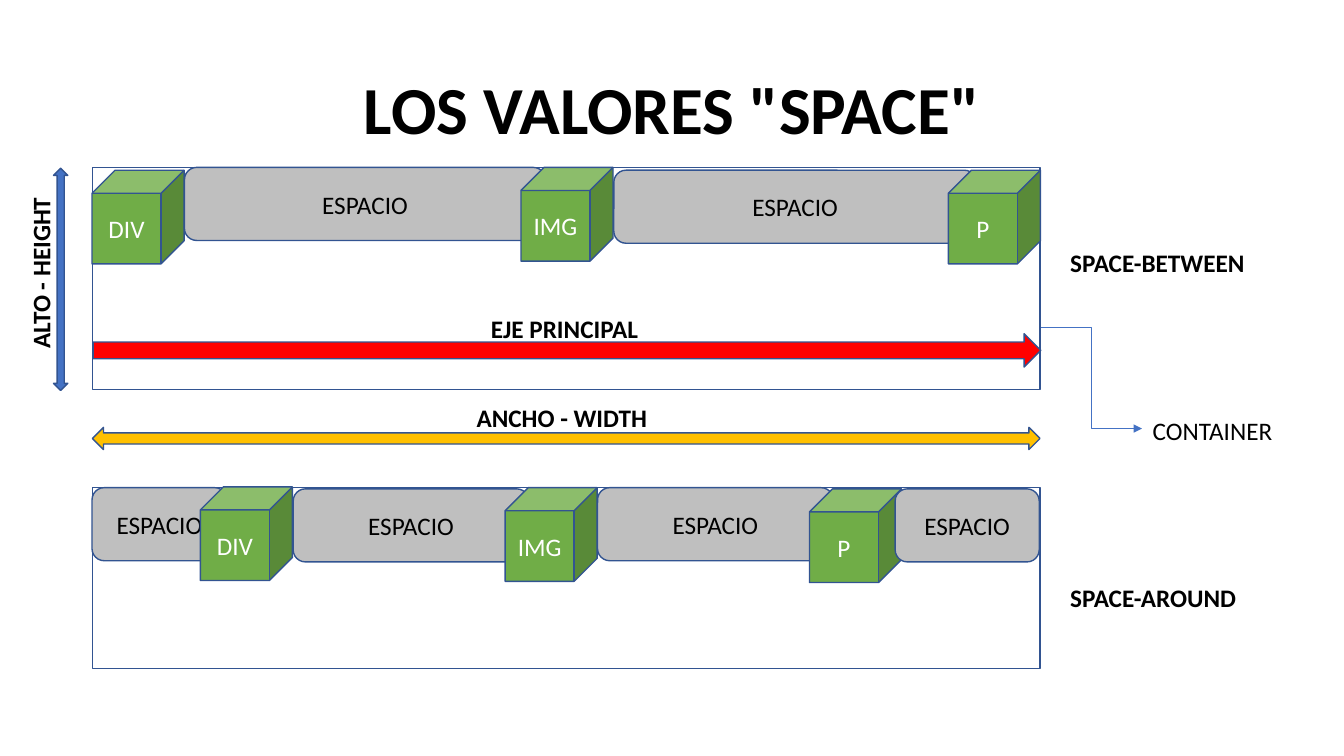
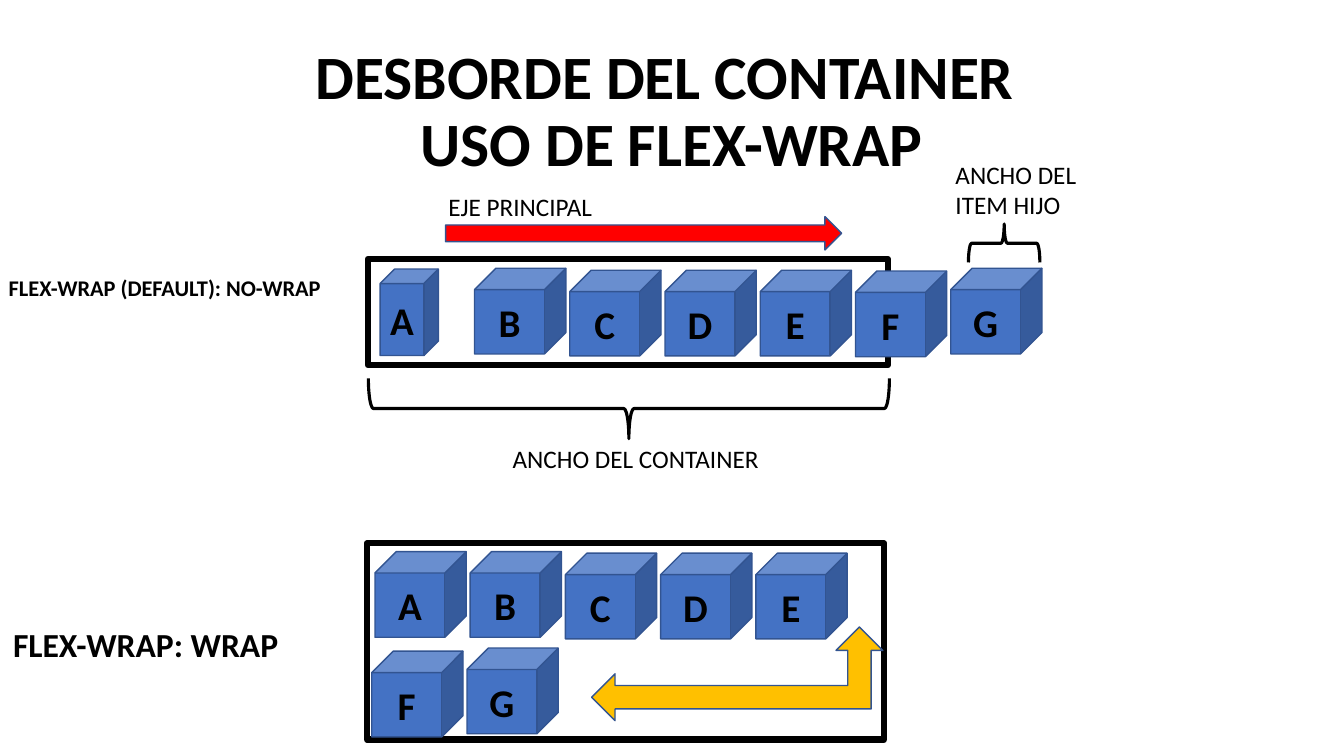
from lxml.etree import SubElement
from pptx import Presentation
from pptx.dml.color import RGBColor
from pptx.enum.shapes import MSO_CONNECTOR, MSO_SHAPE
from pptx.enum.text import MSO_ANCHOR, MSO_AUTO_SIZE, PP_ALIGN
from pptx.oxml.ns import qn
from pptx.util import Cm, Pt

FONT = "Calibri"
BLACK = "000000"
WHITE = "FFFFFF"
BLUE = "4472C4"
OUTLINE = "325491"
GREEN = "70AD47"
GREY = "BFBFBF"
RED = "FF0000"
AMBER = "FFC000"
SPACE = "ESPACIO"
CUBE_STEP = 2.4


def color(hex_value):
    return RGBColor.from_string(hex_value)


def box(left, top, width, height):
    return Cm(left), Cm(top), Cm(width), Cm(height)


def format_paragraph(paragraph, size, font_color=BLACK, bold=False, alignment=None):
    paragraph.font.name = FONT
    paragraph.font.size = Pt(size)
    paragraph.font.bold = bold
    paragraph.font.color.rgb = color(font_color)
    paragraph.alignment = alignment


def add_titled_slide(presentation, text, size):
    slide = presentation.slides.add_slide(presentation.slide_layouts[5])
    title = slide.shapes.title
    title.left, title.top, title.width, title.height = box(2.33, 1.01, 29.21, 3.68)
    frame = title.text_frame
    frame.text = text
    frame.auto_size = MSO_AUTO_SIZE.NONE
    frame.vertical_anchor = MSO_ANCHOR.MIDDLE
    paragraph = frame.paragraphs[0]
    paragraph.line_spacing = 0.9
    format_paragraph(paragraph, size, bold=True, alignment=PP_ALIGN.CENTER)
    return slide


def add_figure(slide, kind, bounds, fill=None, line=OUTLINE, line_width=1, rotation=0):
    shape = slide.shapes.add_shape(kind, *box(*bounds))
    shape.shadow.inherit = False
    shape.rotation = rotation
    if fill:
        shape.fill.solid()
        shape.fill.fore_color.rgb = color(fill)
    else:
        shape.fill.background()
    shape.line.color.rgb = color(line)
    shape.line.width = Pt(line_width)
    return shape


def add_block(slide, kind, bounds, text, fill, size=18, font_color=BLACK, bold=False):
    shape = add_figure(slide, kind, bounds, fill)
    frame = shape.text_frame
    frame.text = text
    frame.vertical_anchor = MSO_ANCHOR.MIDDLE
    format_paragraph(frame.paragraphs[0], size, font_color, bold, PP_ALIGN.CENTER)


def add_label(slide, bounds, text, size=18, bold=False, rotation=0):
    label = slide.shapes.add_textbox(*box(*bounds))
    label.rotation = rotation
    frame = label.text_frame
    frame.word_wrap = True
    frame.auto_size = MSO_AUTO_SIZE.SHAPE_TO_FIT_TEXT
    frame.text = text
    format_paragraph(frame.paragraphs[0], size, bold=bold)


def add_elbow_arrow(slide, start, end):
    connector = slide.shapes.add_connector(
        MSO_CONNECTOR.ELBOW, *(Cm(value) for value in start + end))
    connector.line.color.rgb = color(BLUE)
    connector.line.width = Pt(0.5)
    properties = connector._element.spPr
    SubElement(properties.find(qn("a:ln")), qn("a:tailEnd"), type="triangle")
    SubElement(properties, qn("a:effectLst"))


def add_spaced_row(slide, items):
    for text, left, top, width in items:
        if text == SPACE:
            add_block(slide, MSO_SHAPE.ROUNDED_RECTANGLE, (left, top, width, 1.84),
                      text, GREY)
        else:
            add_block(slide, MSO_SHAPE.CUBE, (left, top, width, 2.36),
                      text, GREEN, font_color=WHITE)


def add_letter_cube(slide, letter, left, top, width=2.3, height=2.16):
    add_block(slide, MSO_SHAPE.CUBE, (left, top, width, height),
              letter, BLUE, size=28, bold=True)


def add_letter_row(slide, letters, left, tops):
    for index, (letter, top) in enumerate(zip(letters, tops)):
        add_letter_cube(slide, letter, left + index * CUBE_STEP, top)


def build_space_values(presentation):
    slide = add_titled_slide(presentation, 'LOS VALORES "SPACE"', 48)
    for top, height in ((4.22, 5.6), (12.29, 4.55)):
        add_figure(slide, MSO_SHAPE.RECTANGLE, (2.33, top, 23.88, height), WHITE)
    add_figure(slide, MSO_SHAPE.UP_DOWN_ARROW, (1.35, 4.24, 0.36, 5.6), BLUE)
    add_figure(slide, MSO_SHAPE.LEFT_RIGHT_ARROW, (2.33, 10.77, 23.88, 0.56), AMBER)
    add_figure(slide, MSO_SHAPE.RIGHT_ARROW, (2.35, 8.41, 23.88, 0.84), RED)
    add_elbow_arrow(slide, (26.24, 8.26), (28.78, 10.8))
    add_spaced_row(slide, (
        ("DIV", 2.32, 4.29, 2.32),
        (SPACE, 4.65, 4.22, 9.1),
        ("IMG", 13.13, 4.22, 2.32),
        (SPACE, 15.47, 4.29, 9.14),
        ("P", 23.9, 4.29, 2.32),
    ))
    add_spaced_row(slide, (
        (SPACE, 2.32, 12.29, 3.4),
        ("DIV", 5.05, 12.27, 2.32),
        (SPACE, 7.39, 12.32, 5.94),
        ("IMG", 12.73, 12.29, 2.32),
        (SPACE, 15.06, 12.29, 5.94),
        ("P", 20.4, 12.32, 2.32),
        (SPACE, 22.56, 12.32, 3.63),
    ))
    for text, left, top, rotation in (
        ("ANCHO - WIDTH", 11.76, 10.01, 0),
        ("ALTO - HEIGHT", -2.79, 4.72, 270),
        ("SPACE-BETWEEN", 26.72, 6.12, 0),
        ("SPACE-AROUND", 26.72, 14.55, 0),
        ("EJE PRINCIPAL", 12.12, 7.77, 0),
    ):
        add_label(slide, (left, top, 7.62, 1.02), text, bold=True, rotation=rotation)
    add_label(slide, (28.8, 10.34, 7.62, 1.02), "CONTAINER")


def build_flex_wrap(presentation):
    slide = add_titled_slide(
        presentation, "DESBORDE DEL CONTAINER\u00a0\vUSO DE FLEX-WRAP", 44)
    for bounds in ((9.27, 6.53, 13.11, 2.67), (9.25, 13.69, 13.03, 4.95)):
        add_figure(slide, MSO_SHAPE.RECTANGLE, bounds, line=BLACK, line_width=4.5)
    add_letter_cube(slide, "A", 9.58, 6.78, 1.47, 2.18)
    add_letter_row(slide, "BCDEFG", 11.96, (6.76, 6.81, 6.81, 6.81, 6.83, 6.76))
    add_letter_row(slide, "ABCDE", 9.45, (13.9, 13.9, 13.94, 13.94, 13.94))
    add_letter_row(slide, "FG", 9.37, (16.41, 16.33))
    add_figure(slide, MSO_SHAPE.RIGHT_ARROW, (11.23, 5.46, 9.98, 0.84), RED)
    add_figure(slide, MSO_SHAPE.LEFT_UP_ARROW, (14.91, 15.8, 7.34, 2.36), AMBER)
    for bounds, rotation in (
        ((15.09, 3.73, 1.52, 13.13), 270),
        ((24.82, 5.23, 0.97, 1.8), 90),
    ):
        add_figure(slide, MSO_SHAPE.LEFT_BRACE, bounds, line=BLACK,
                   line_width=2.25, rotation=rotation)
    add_label(slide, (11.05, 4.7, 10.85, 1.02), "EJE PRINCIPAL")
    add_label(slide, (12.67, 11.05, 7.62, 1.02), "ANCHO DEL CONTAINER")
    add_label(slide, (23.83, 3.89, 3.63, 1.8), "ANCHO DEL ITEM HIJO")
    add_label(slide, (-0.03, 6.78, 9.35, 0.94), "FLEX-WRAP (DEFAULT): NO-WRAP",
              size=16, bold=True)
    add_label(slide, (0.08, 15.6, 9.35, 1.27), "FLEX-WRAP: WRAP", size=24, bold=True)


def main():
    presentation = Presentation()
    presentation.slide_width = Cm(33.87)
    presentation.slide_height = Cm(19.05)
    build_space_values(presentation)
    build_flex_wrap(presentation)
    presentation.save("out.pptx")


main()
